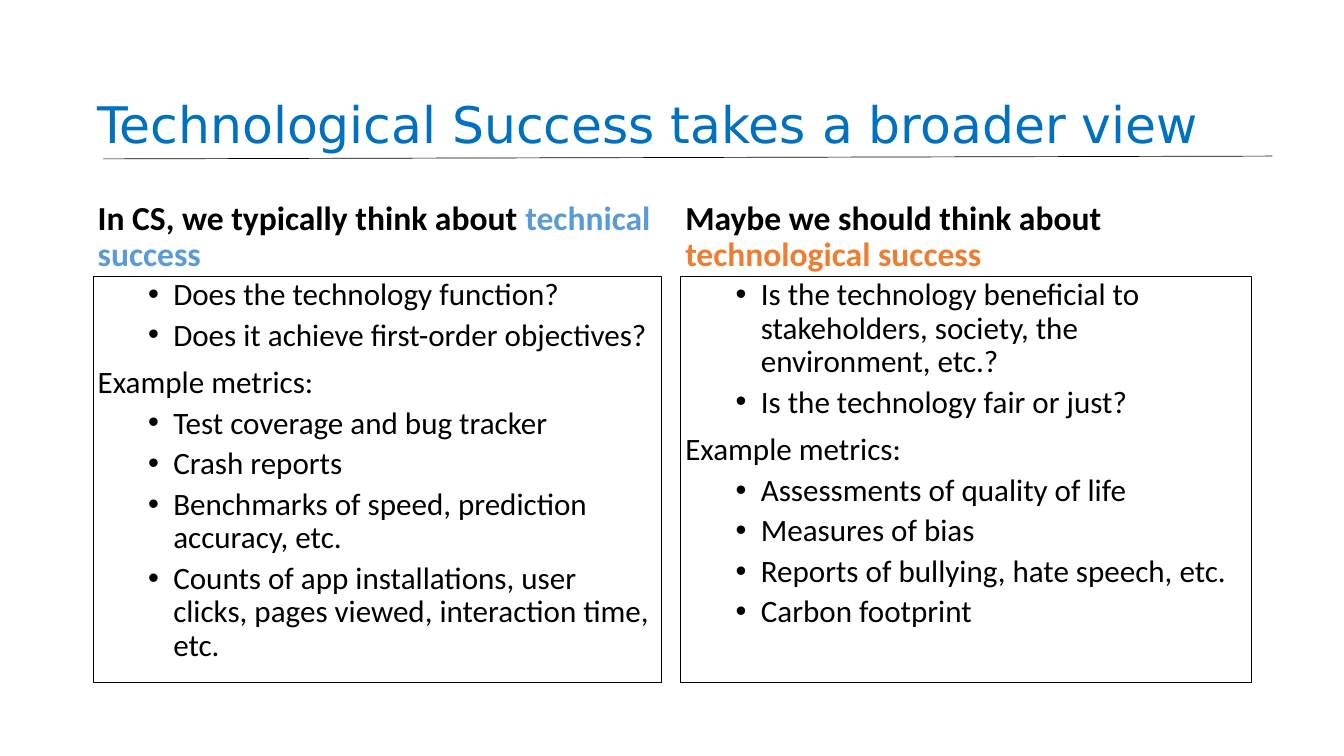
import pptx
import pptx.dml.color
import pptx.enum.shapes
import pptx.enum.text
import pptx.oxml
import pptx.oxml.ns
import pptx.util

Pt = pptx.util.Pt
ANCHOR = pptx.enum.text.MSO_ANCHOR


def color(hex_string):
    return pptx.dml.color.RGBColor.from_string(hex_string)


def add_element(parent, tag, **attributes):
    element = pptx.oxml.parse_xml(f"<a:{tag} {pptx.oxml.ns.nsdecls('a')}/>")
    for name, value in attributes.items():
        element.set(name, value)
    parent.append(element)


class SlideBuilder:
    body_font = "Calibri"
    title_font = "DejaVu Sans"
    black = "000000"
    line_spacing = 0.9
    heading_size = 48
    body_size = 44.4
    bullet_indent = 108
    bullet_hang = 36

    def __init__(self, page):
        self.page = page

    def format_frame(self, frame, anchor):
        frame.word_wrap = True
        frame.auto_size = pptx.enum.text.MSO_AUTO_SIZE.NONE
        frame.vertical_anchor = anchor

    def format_paragraph(self, para, space_before):
        para.alignment = pptx.enum.text.PP_ALIGN.LEFT
        para.line_spacing = self.line_spacing
        para.space_before = Pt(space_before)

    def format_span(self, span, name, size, hex_string, bold=False):
        span.font.name = name
        span.font.size = Pt(size)
        span.font.bold = bold
        span.font.color.rgb = color(hex_string)

    def title(self, text, left, top, width, height, hex_string):
        box = self.page.shapes.title
        box.left, box.top, box.width, box.height = map(Pt, (left, top, width, height))
        frame = box.text_frame
        frame.text = text
        self.format_frame(frame, ANCHOR.BOTTOM)
        self.format_paragraph(frame.paragraphs[0], 0)
        self.format_span(frame.paragraphs[0].runs[0], self.title_font, 72, hex_string)

    def heading(self, lead, emphasis, left, top, width, height, hex_string):
        box = self.page.shapes.add_textbox(*map(Pt, (left, top, width, height)))
        self.format_frame(box.text_frame, ANCHOR.BOTTOM)
        para = box.text_frame.paragraphs[0]
        self.format_paragraph(para, 0)
        for text, span_color in ((lead, self.black), (emphasis, hex_string)):
            span = para.add_run()
            span.text = text
            self.format_span(span, self.body_font, self.heading_size, span_color, True)

    def framed_list(self, questions, metrics, left, top, width, height, line_width):
        kind = pptx.enum.shapes.MSO_SHAPE.RECTANGLE
        box = self.page.shapes.add_shape(kind, *map(Pt, (left, top, width, height)))
        box.shadow.inherit = False
        box.fill.background()
        box.line.color.rgb = color(self.black)
        box.line.width = Pt(line_width)
        frame = box.text_frame
        label = "Example metrics:"
        frame.text = "\n".join([*questions, label, *metrics])
        self.format_frame(frame, ANCHOR.TOP)
        for index, para in enumerate(frame.paragraphs):
            is_label = para.text == label
            self.format_paragraph(para, 20 if is_label else 10 if index else 0)
            if not is_label:
                self.bullet(para)
            self.format_span(para.runs[0], self.body_font, self.body_size, self.black)

    def bullet(self, para):
        para.level = 1
        properties = para._p.get_or_add_pPr()
        properties.set("marL", str(Pt(self.bullet_indent)))
        properties.set("indent", str(-Pt(self.bullet_hang)))
        add_element(properties, "buFont", typeface="Arial")
        add_element(properties, "buChar", char="•")

    def rule(self, start, end, width):
        kind = pptx.enum.shapes.MSO_CONNECTOR.STRAIGHT
        line = self.page.shapes.add_connector(kind, *map(Pt, (*start, *end)))
        line.line.color.rgb = color(self.black)
        line.line.width = Pt(width)
        add_element(line._element.spPr, "effectLst")


# Heading lead, emphasis, its colour, left, width, frame line, questions, metrics
COLUMNS = [
    ("In CS, we typically think about ", "technical success", "5B9BD5", 132.5, 812, 0.5,
     ["Does the technology function?",
      "Does it achieve first-order objectives?"],
     ["Test coverage and bug tracker",
      "Crash reports",
      "Benchmarks of speed, prediction accuracy, etc.",
      "Counts of app installations, user clicks, pages viewed, interaction time, etc."]),
    ("Maybe we should think about ", "technological success", "ED7D31", 972, 816.5, 0.75,
     ["Is the technology beneficial to stakeholders, society, the environment, etc.?",
      "Is the technology fair or just?"],
     ["Assessments of quality of life",
      "Measures of bias",
      "Reports of bullying, hate speech, etc.",
      "Carbon footprint"]),
]


def main():
    deck = pptx.Presentation()
    deck.slide_width, deck.slide_height = Pt(1920.24), Pt(1080)
    builder = SlideBuilder(deck.slides.add_slide(deck.slide_layouts[5]))

    # Title
    builder.title("Technological Success takes a broader view",
                  132.5, 57.5, 1656, 167, "0070C0")

    # Two columns: heading above a framed list
    heading_top, heading_height, list_height = 265, 129.5, 580.5
    list_top = heading_top + heading_height
    for lead, emphasis, accent, left, width, line_width, questions, metrics in COLUMNS:
        builder.heading(lead, emphasis, left, heading_top, width, heading_height, accent)
        builder.framed_list(questions, metrics, left, list_top, width, list_height, line_width)

    # Rule under the title
    builder.rule((147.5, 227), (1818, 223), 1)

    deck.save("out.pptx")


if __name__ == "__main__":
    main()
